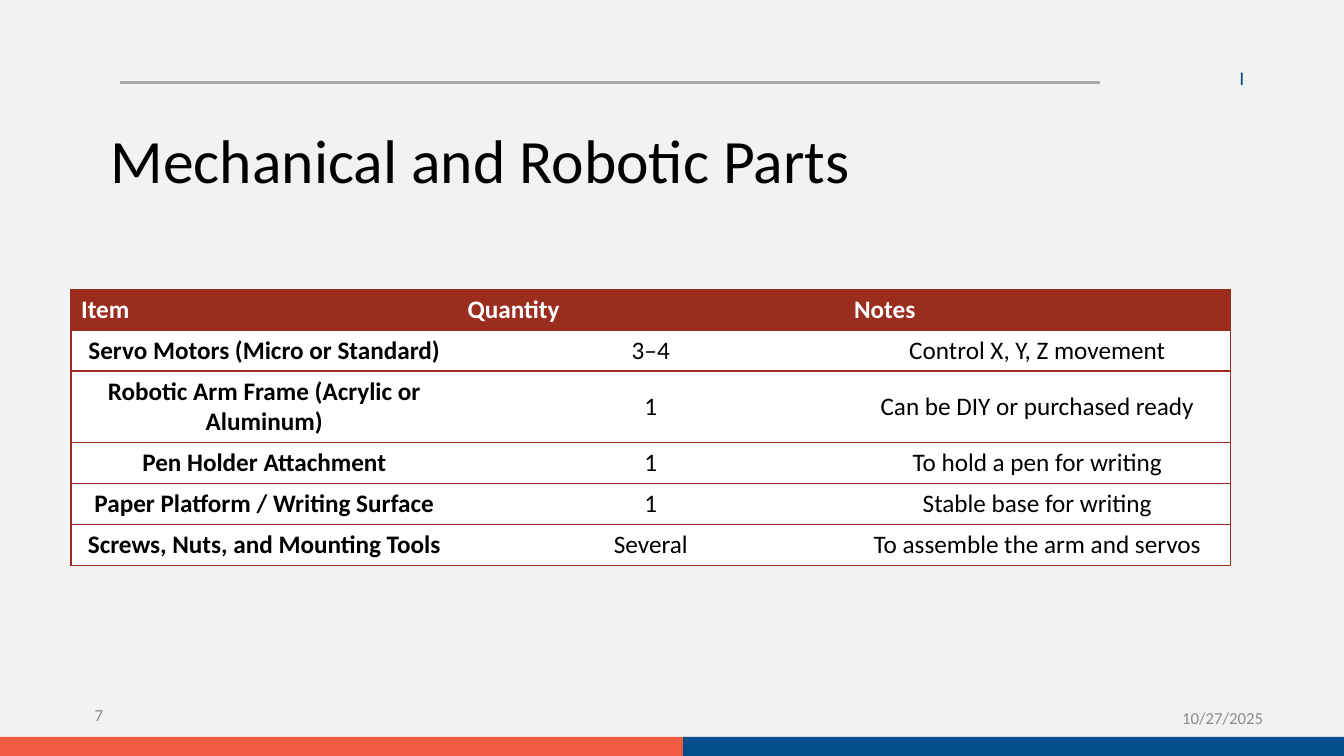
from pptx import Presentation
from pptx import util as u
from pptx.dml.color import RGBColor
from pptx.enum import shapes, text
from pptx.oxml.ns import qn
from lxml import etree

# Content
TITLE = "Mechanical and Robotic Parts"
DATE = "10/27/2025"
NUMBER = "7"
PARTS = [
    ("Item", "Quantity", "Notes"),
    ("Servo Motors (Micro or Standard)", "3–4", "Control X, Y, Z movement"),
    ("Robotic Arm Frame (Acrylic or Aluminum)", "1", "Can be DIY or purchased ready"),
    ("Pen Holder Attachment", "1", "To hold a pen for writing"),
    ("Paper Platform / Writing Surface", "1", "Stable base for writing"),
    ("Screws, Nuts, and Mounting Tools", "Several", "To assemble the arm and servos"),
]
COLORS = {
    "background": "F1F2F2", "blue": "064E8B", "orange": "F15A41", "rule": "A7A9AC",
    "footer": "8C8C8C", "brick": "9B2D1F", "white": "FFFFFF", "black": "000000",
}
FONT = "Calibri"

# Measures in centimetres
WIDTH, HEIGHT = 33.87, 19.05
BAR_HEIGHT, BAR_SPLIT = 0.48, 17.21
TABLE_LEFT, TABLE_TOP, COLUMN_WIDTH = 1.79, 7.29, 9.74
ROW_HEIGHTS = [1.03, 1.03, 1.8, 1.03, 1.03, 1.03]

ALIGN = text.PP_ALIGN
ANCHOR = text.MSO_ANCHOR


def color(name):
    return RGBColor.from_string(COLORS[name])


def format_run(paragraph, size, color_name, bold=False):
    font = paragraph.runs[0].font
    font.name, font.size, font.bold = FONT, u.Pt(size), bold
    font.color.rgb = color(color_name)


def add_block(slide, box, color_name):
    shape = slide.shapes.add_shape(shapes.MSO_SHAPE.RECTANGLE, *map(u.Cm, box))
    shape.shadow.inherit = False
    shape.fill.solid()
    shape.fill.fore_color.rgb = color(color_name)
    shape.line.fill.background()


def add_text(slide, box, words, size, color_name, align=ALIGN.LEFT,
             anchor=ANCHOR.MIDDLE, spacing=1.0):
    frame = slide.shapes.add_textbox(*map(u.Cm, box)).text_frame
    frame.word_wrap = True
    frame.vertical_anchor = anchor
    frame.text = words
    paragraph = frame.paragraphs[0]
    paragraph.alignment = align
    paragraph.line_spacing = spacing
    format_run(paragraph, size, color_name)


def set_borders(cell, visible):
    properties = cell._tc.get_or_add_tcPr()
    for side in "LRTB":
        line = etree.SubElement(properties, qn(f"a:ln{side}"), w=str(u.Pt(1)))
        if side in visible:
            fill = etree.SubElement(line, qn("a:solidFill"))
            etree.SubElement(fill, qn("a:srgbClr"), val=COLORS["brick"])
        else:
            etree.SubElement(line, qn("a:noFill"))


def add_parts_table(slide):
    columns = len(PARTS[0])
    table = slide.shapes.add_table(
        len(PARTS), columns, u.Cm(TABLE_LEFT), u.Cm(TABLE_TOP),
        u.Cm(columns * COLUMN_WIDTH), u.Cm(sum(ROW_HEIGHTS))).table
    for column in table.columns:
        column.width = u.Cm(COLUMN_WIDTH)
    for r, (row, height) in enumerate(zip(PARTS, ROW_HEIGHTS)):
        table.rows[r].height = u.Cm(height)
        header = r == 0
        for c, words in enumerate(row):
            cell = table.cell(r, c)
            outer = ("L" if c == 0 else "") + ("R" if c == columns - 1 else "")
            set_borders(cell, "TB" + outer)
            cell.fill.solid()
            cell.fill.fore_color.rgb = color("brick" if header else "white")
            cell.vertical_anchor = ANCHOR.MIDDLE
            cell.text_frame.text = words
            paragraph = cell.text_frame.paragraphs[0]
            paragraph.alignment = ALIGN.LEFT if header else ALIGN.CENTER
            format_run(paragraph, 18, "white" if header else "black", header or c == 0)


def main():
    presentation = Presentation()
    presentation.slide_width, presentation.slide_height = u.Cm(WIDTH), u.Cm(HEIGHT)
    slide = presentation.slides.add_slide(presentation.slide_layouts[6])
    slide.background.fill.solid()
    slide.background.fill.fore_color.rgb = color("background")

    # Top rule and tick
    add_block(slide, (31.27, 1.83, 0.05, 0.32), "blue")
    rule = slide.shapes.add_connector(
        shapes.MSO_CONNECTOR.STRAIGHT, *map(u.Cm, (3.02, 2.07, 27.72, 2.07)))
    rule.line.color.rgb = color("rule")
    rule.line.width = u.Pt(2.25)
    etree.SubElement(rule._element.spPr, qn("a:effectLst"))

    # Footer
    add_text(slide, (29.54, 17.52, 3.02, 1.12), DATE, 12, "footer")
    add_text(slide, (0, 17.48, 2.85, 1.09), NUMBER, 12, "footer", ALIGN.RIGHT)
    bar_top = HEIGHT - BAR_HEIGHT
    add_block(slide, (BAR_SPLIT, bar_top, WIDTH - BAR_SPLIT, BAR_HEIGHT), "blue")
    add_block(slide, (0, bar_top, BAR_SPLIT, BAR_HEIGHT), "orange")

    # Title and table
    add_text(slide, (2.54, 3.17, 29.21, 3.68), TITLE, 44, "black",
             anchor=ANCHOR.TOP, spacing=0.9)
    add_parts_table(slide)
    presentation.save("out.pptx")


if __name__ == "__main__":
    main()
